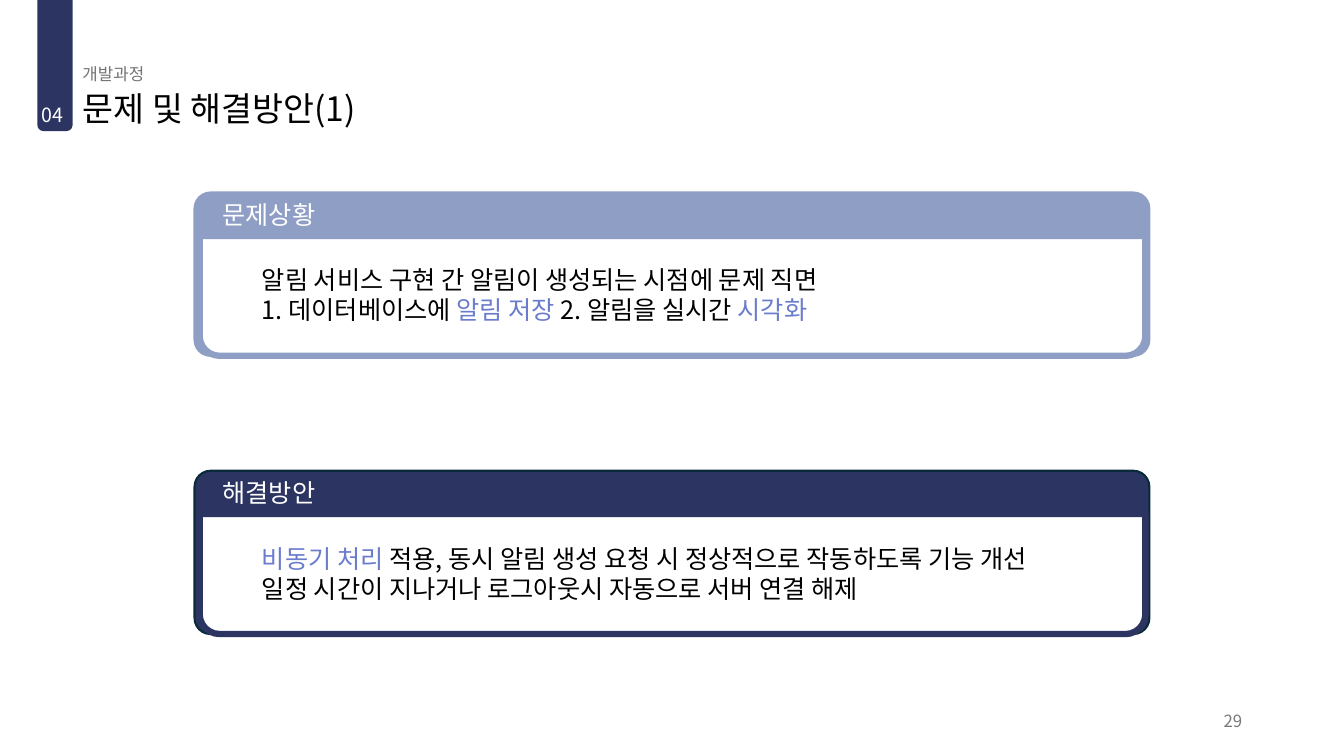
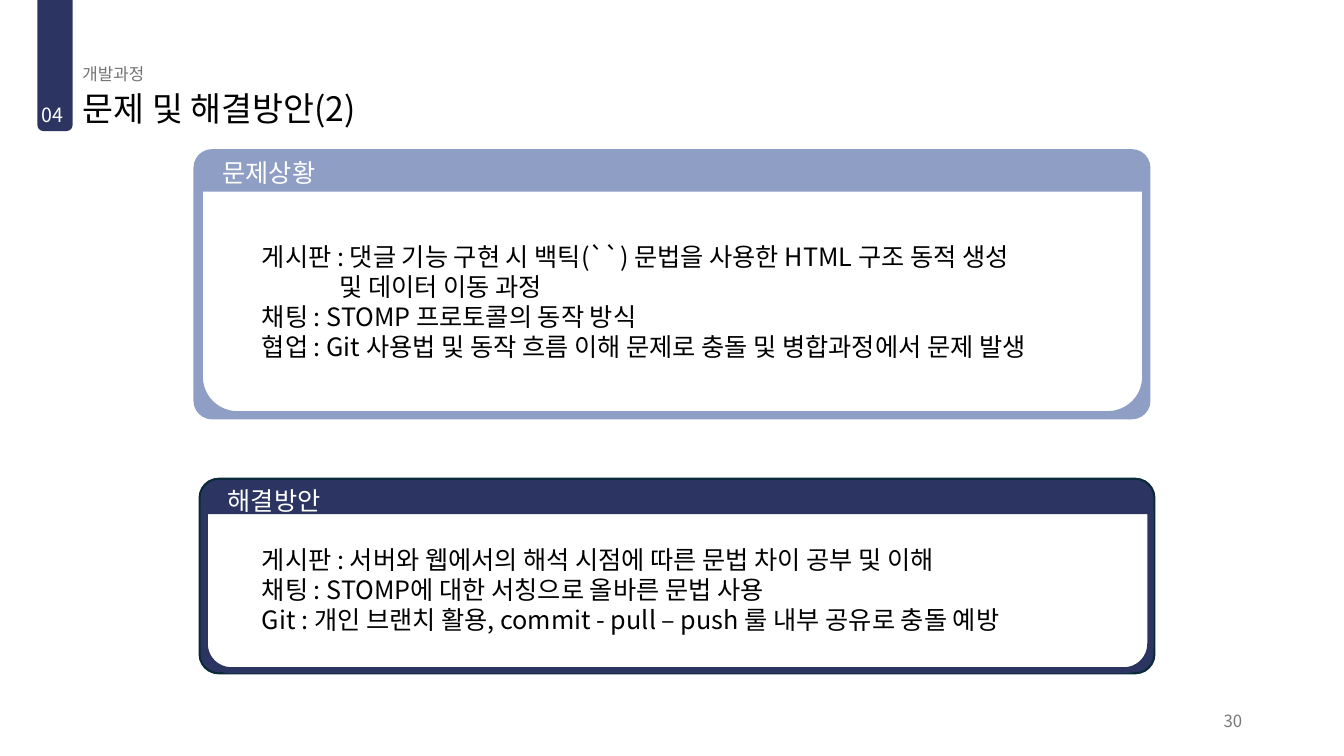
from pptx import Presentation
from pptx.dml.color import RGBColor
from pptx.enum import shapes, text
from pptx.oxml import ns
from pptx.util import Inches, Pt
from lxml import etree

FONT = "Noto Sans CJK KR"
COLORS = {
    "navy": "2C3562", "navy_edge": "092A39", "periwinkle": "8F9EC4",
    "accent": "6B7CCD", "white": "FFFFFF", "black": "000000",
    "section": "747474", "page": "797979",
}
PROBLEM = {"heading": "문제상황", "fill": "periwinkle", "edge": "periwinkle"}
SOLUTION = {"heading": "해결방안", "fill": "navy", "edge": "navy_edge"}
CARD_WIDTH = 9.47
BODY_LEFT = 2.5
CONTINUATION_INDENT = 0.77


def color(name):
    return RGBColor.from_string(COLORS[name])


def write_text(shape, paragraphs, size=18, fill="black", align=None,
               anchor="TOP", line_spacing=None, indents=None):
    """Each paragraph is a string or a list of (string, colour) runs;
    indents maps a paragraph's index to its left margin in inches."""
    frame = shape.text_frame
    frame.word_wrap = True
    frame.auto_size = text.MSO_AUTO_SIZE.NONE
    frame.vertical_anchor = text.MSO_ANCHOR[anchor]
    for index, content in enumerate(paragraphs):
        paragraph = frame.add_paragraph() if index else frame.paragraphs[0]
        paragraph.alignment = text.PP_ALIGN[align or "LEFT"]
        if line_spacing:
            paragraph.line_spacing = line_spacing
        if indents and index in indents:
            paragraph._p.get_or_add_pPr().set("marL", str(Inches(indents[index])))
        runs = [(content, fill)] if isinstance(content, str) else content
        for words, run_color in runs:
            run = paragraph.add_run()
            run.text = words
            run.font.size = Pt(size)
            run.font.name = FONT
            run.font.color.rgb = color(run_color)
            # Korean glyphs take the East Asian typeface
            east_asian = etree.SubElement(run.font._element, ns.qn("a:ea"))
            east_asian.set("typeface", FONT)


def add_text(slide, left, top, width, height, paragraphs, **text_format):
    box = slide.shapes.add_textbox(
        Inches(left), Inches(top), Inches(width), Inches(height))
    write_text(box, paragraphs, **text_format)


def add_block(slide, kind, left, top, width, height, fill,
              edge=None, edge_width=1.5, adjustment=None, rotation=0):
    block = slide.shapes.add_shape(
        shapes.MSO_SHAPE[kind],
        Inches(left), Inches(top), Inches(width), Inches(height))
    block.shadow.inherit = False
    block.rotation = rotation
    block.fill.solid()
    block.fill.fore_color.rgb = color(fill)
    if edge:
        block.line.color.rgb = color(edge)
        block.line.width = Pt(edge_width)
    else:
        block.line.fill.background()
    if adjustment is not None:
        block.adjustments[0] = adjustment


def add_card(slide, style, left, top, height, panel_top, panel_height,
             corner=0.098):
    """Coloured card with a heading strip and a white panel below it."""
    add_block(slide, "ROUNDED_RECTANGLE", left, top, CARD_WIDTH, height,
              style["fill"], edge=style["edge"], adjustment=corner)
    add_block(slide, "ROUND_2_SAME_RECTANGLE", left + 0.05, panel_top,
              CARD_WIDTH - 0.09, panel_height, "white", edge=style["fill"],
              edge_width=4.5, rotation=180)
    add_text(slide, left + 0.18, top + 0.02, 2.64, 0.4, [style["heading"]],
             fill="white")


def add_base_slide(presentation, title, page):
    """Slide with the section tab, section name, title and page number."""
    slide = presentation.slides.add_slide(presentation.slide_layouts[5])
    add_block(slide, "ROUND_2_SAME_RECTANGLE", 0.37, 0, 0.35, 1.3, "navy",
              rotation=180)
    heading = slide.shapes.title
    heading.left, heading.top = Inches(0.72), Inches(0.87)
    heading.width, heading.height = Inches(11.5), Inches(0.52)
    write_text(heading, [title], size=24, line_spacing=0.9)
    add_text(slide, 0.72, 0.61, 11.5, 0.24, ["개발과정"], size=12,
             fill="section", line_spacing=0.9)
    add_text(slide, 0.31, 1, 0.52, 0.24, ["04"], size=14, fill="white",
             line_spacing=0.9)
    add_text(slide, 9.42, 6.95, 3, 0.4, [str(page)], size=12, fill="page",
             align="RIGHT", anchor="MIDDLE")
    return slide


def build_notification_slide(presentation):
    slide = add_base_slide(presentation, "문제 및 해결방안(1)", 29)
    for style, top in ((PROBLEM, 1.91), (SOLUTION, 4.67)):
        add_card(slide, style, 1.93, top, 1.62, top + 0.43, 1.19)
    add_text(slide, BODY_LEFT, 2.57, 7.94, 0.71, [
        "알림 서비스 구현 간 알림이 생성되는 시점에 문제 직면",
        [("1. 데이터베이스에 ", "black"), ("알림 저장 ", "accent"),
         ("2. 알림을 실시간 ", "black"), ("시각화", "accent")],
    ])
    add_text(slide, BODY_LEFT, 5.34, 8.47, 0.71, [
        [("비동기 처리 ", "accent"),
         ("적용, 동시 알림 생성 요청 시 정상적으로 작동하도록 기능 개선", "black")],
        "일정 시간이 지나거나 로그아웃시 자동으로 서버 연결 해제",
    ])


def build_collaboration_slide(presentation):
    slide = add_base_slide(presentation, "문제 및 해결방안(2)", 30)
    add_card(slide, PROBLEM, 1.93, 1.49, 2.66, 1.87, 2.24, corner=0.065)
    add_text(slide, BODY_LEFT, 2.34, 8.7, 1.31, [
        "게시판 : 댓글 기능 구현 시 백틱(``) 문법을 사용한 HTML 구조 동적 생성",
        "및 데이터 이동 과정",
        "채팅 : STOMP 프로토콜의 동작 방식",
        "협업 : Git 사용법 및 동작 흐름 이해 문제로 충돌 및 병합과정에서 문제 발생",
    ], indents={1: CONTINUATION_INDENT})
    add_card(slide, SOLUTION, 1.98, 4.75, 1.93, 5.07, 1.58)
    add_text(slide, BODY_LEFT, 5.35, 8.47, 1.02, [
        "게시판 : 서버와 웹에서의 해석 시점에 따른 문법 차이 공부 및 이해",
        "채팅 : STOMP에 대한 서칭으로 올바른 문법 사용",
        "Git : 개인 브랜치 활용, commit - pull – push 룰 내부 공유로 충돌 예방",
    ])


def main():
    presentation = Presentation()
    presentation.slide_width = Inches(13.33)
    presentation.slide_height = Inches(7.5)
    build_notification_slide(presentation)
    build_collaboration_slide(presentation)
    presentation.save("out.pptx")


if __name__ == "__main__":
    main()
